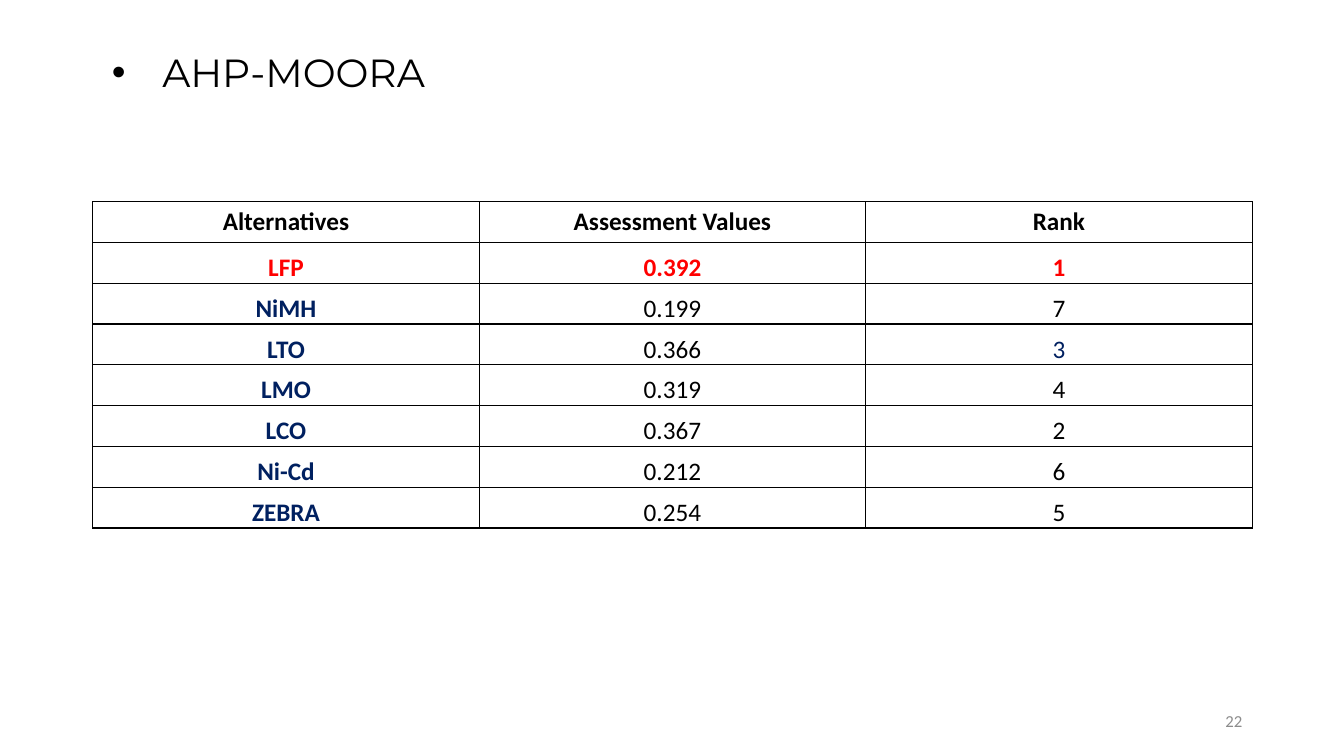
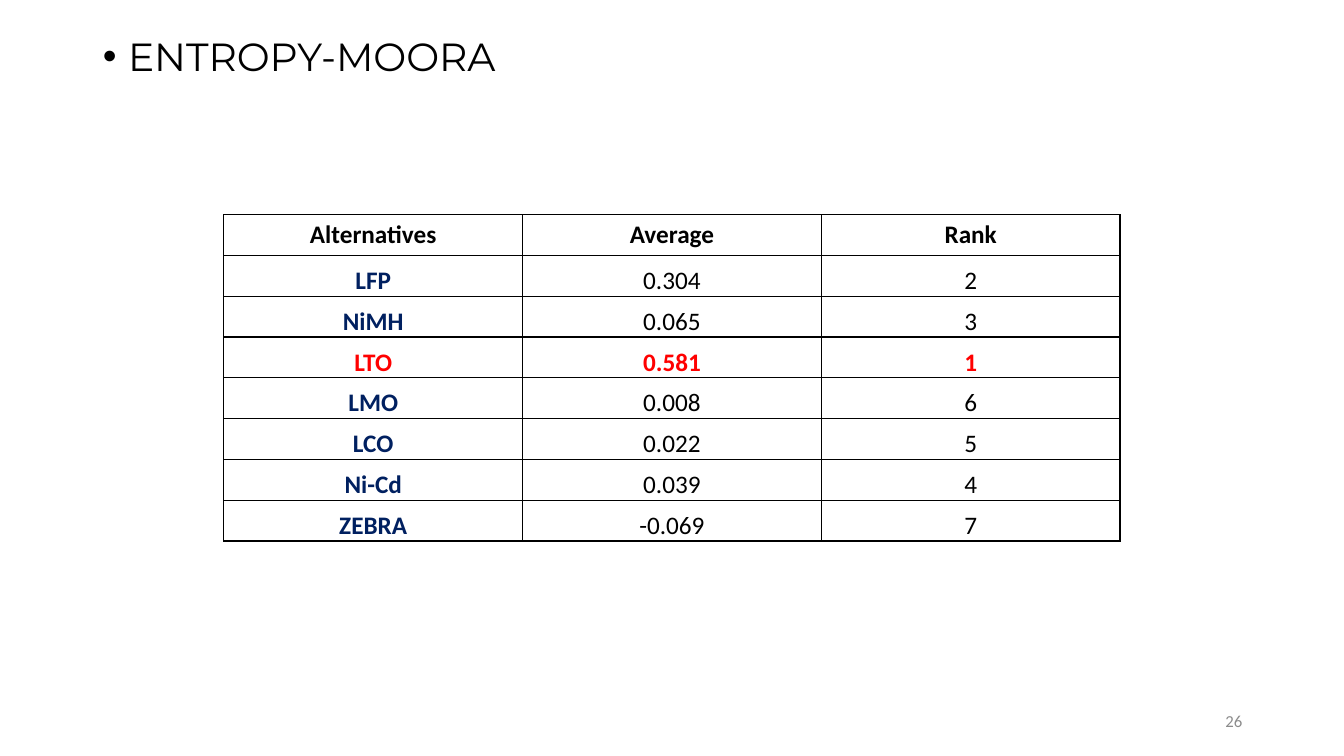
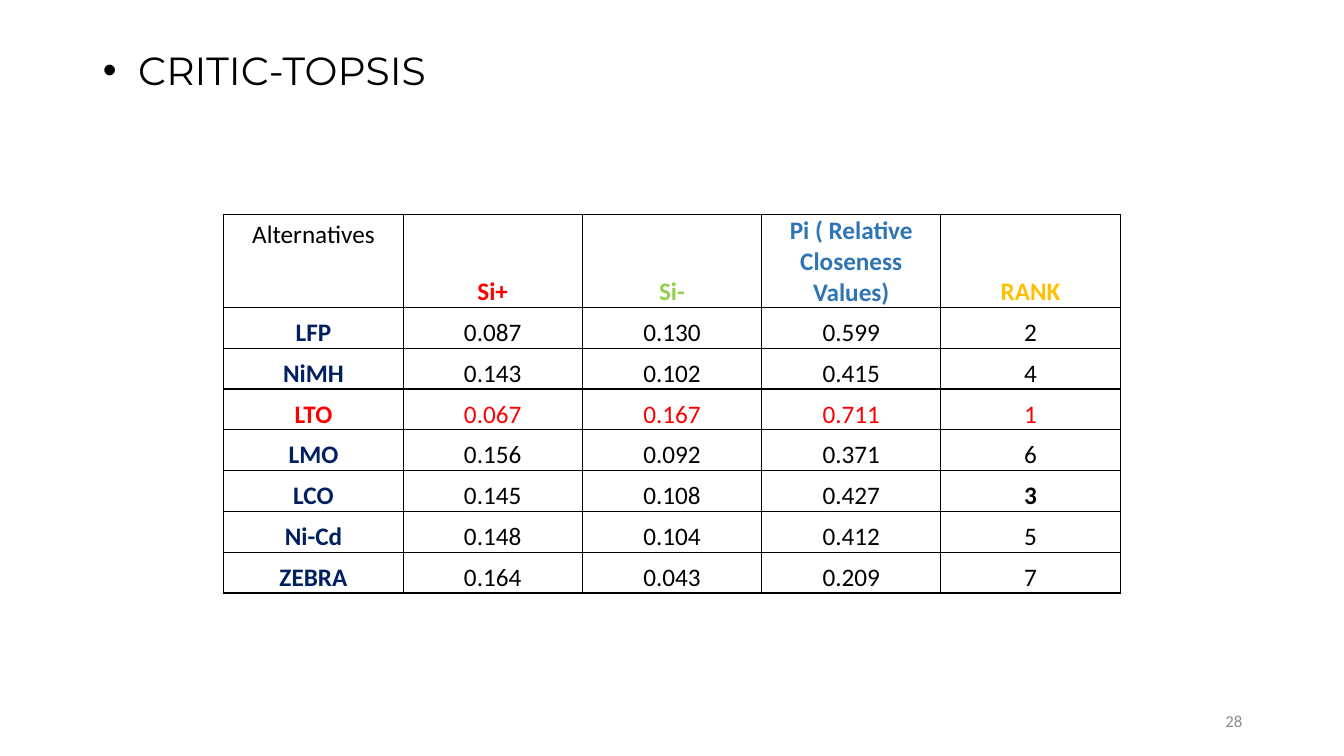
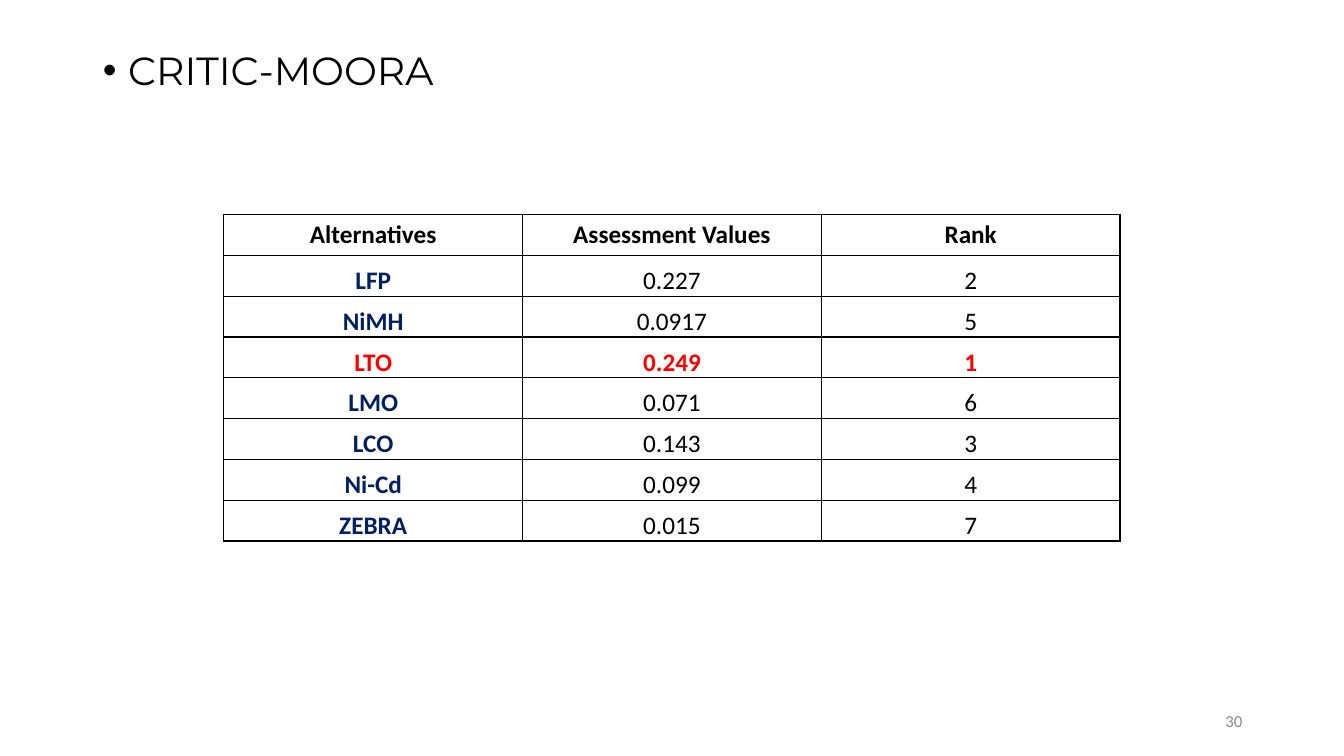
from dataclasses import dataclass, field

from lxml.etree import SubElement
from pptx import Presentation
from pptx.dml.color import RGBColor
from pptx.enum.text import MSO_ANCHOR, MSO_AUTO_SIZE, PP_ALIGN
from pptx.oxml import parse_xml
from pptx.oxml.ns import nsdecls, qn
from pptx.util import Inches, Pt

BLACK, GREY, RED, NAVY = "000000", "8C8C8C", "FF0000", "002060"
GREEN, BLUE, GOLD = "92D050", "2F75B5", "FFC000"

TITLE_FONT = {"name": "Montserrat", "size": Pt(28), "bold": False}
CELL_FONT = {"name": "Calibri", "size": Pt(18), "bold": False}
NUMBER_FONT = {"name": "Calibri", "size": Pt(12)}
TIGHT = {"margin_left": Inches(0.01), "margin_right": Inches(0.01),
         "margin_top": Inches(0.01), "margin_bottom": 0,
         "vertical_anchor": MSO_ANCHOR.BOTTOM}
ROW_HEIGHT = Inches(3.24) // 8
BATTERIES = ["LFP", "NiMH", "LTO", "LMO", "LCO", "Ni-Cd", "ZEBRA"]


@dataclass
class Title:
    text: str
    left: float = 0.92
    top: float = 0.46
    indent: float = 0.25
    line_spacing: float = 0.9


@dataclass
class RankTable:
    header: list[str]
    values: list[str]                      # one string of figures per battery
    left: float = 2.22
    top: float = 2.13
    width: float = 8.89
    header_height: int = ROW_HEIGHT
    winner_bold: bool = True
    header_colors: list[str] = field(default_factory=list)
    # (row, column) -> (colour, bold), for cells outside the usual rule
    special: dict[tuple[int, int], tuple[str, bool]] = field(default_factory=dict)


@dataclass
class RankSlide:
    number: int
    title: Title
    table: RankTable


SLIDES = [
    RankSlide(22, Title("AHP-MOORA", left=1.01, top=0.43, indent=0.5, line_spacing=1.0),
              RankTable(["Alternatives", "Assessment Values", "Rank"],
                        ["0.392 1", "0.199 7", "0.366 3", "0.319 4",
                         "0.367 2", "0.212 6", "0.254 5"],
                        left=0.92, top=2, width=11.5,
                        special={(3, 2): (NAVY, False)})),
    RankSlide(26, Title("ENTROPY-MOORA", top=0.32),
              RankTable(["Alternatives", "Average", "Rank"],
                        ["0.304 2", "0.065 3", "0.581 1", "0.008 6",
                         "0.022 5", "0.039 4", "-0.069 7"])),
    RankSlide(28, Title("CRITIC-TOPSIS", indent=0.35),
              RankTable(["Alternatives", "Si+", "Si-",
                         "Pi ( Relative Closeness Values)", "RANK"],
                        ["0.087 0.130 0.599 2", "0.143 0.102 0.415 4",
                         "0.067 0.167 0.711 1", "0.156 0.092 0.371 6",
                         "0.145 0.108 0.427 3", "0.148 0.104 0.412 5",
                         "0.164 0.043 0.209 7"],
                        header_height=Inches(0.92), winner_bold=False,
                        header_colors=[BLACK, RED, GREEN, BLUE, GOLD],
                        special={(0, 0): (BLACK, False), (5, 4): (BLACK, True)})),
    RankSlide(30, Title("CRITIC-MOORA"),
              RankTable(["Alternatives", "Assessment Values", "Rank"],
                        ["0.227 2", "0.0917 5", "0.249 1", "0.071 6",
                         "0.143 3", "0.099 4", "0.015 7"])),
]


def rgb(color: str) -> RGBColor:
    return RGBColor.from_string(color)


def apply(target, values: dict) -> None:
    for name, value in values.items():
        setattr(target, name, value)


def write(p, text: str, font: dict, color: str, align: PP_ALIGN) -> None:
    p.alignment = align
    r = p.add_run()
    r.text = text
    apply(r.font, font)
    r.font.color.rgb = rgb(color)


def add_title(slide, title: Title) -> None:
    sp = slide.shapes.title
    apply(sp, {"left": Inches(title.left), "top": Inches(title.top),
               "width": Inches(11.5), "height": Inches(0.57)})
    tf = sp.text_frame
    apply(tf, {"vertical_anchor": MSO_ANCHOR.TOP, "word_wrap": True,
               "auto_size": MSO_AUTO_SIZE.NONE})
    p = tf.paragraphs[0]
    write(p, title.text, TITLE_FONT, BLACK, PP_ALIGN.LEFT)
    p.line_spacing = title.line_spacing
    # Hanging bullet
    pPr = p._p.get_or_add_pPr()
    pPr.set("marL", str(Inches(title.indent)))
    pPr.set("indent", str(-Inches(title.indent)))
    SubElement(pPr, qn("a:buFont"), typeface="Arial")
    SubElement(pPr, qn("a:buChar"), char="•")


def add_number(slide, number: int) -> None:
    sp = slide.shapes.add_textbox(Inches(9.42), Inches(6.95), Inches(3), Inches(0.4))
    tf = sp.text_frame
    apply(tf, {"word_wrap": True, "vertical_anchor": MSO_ANCHOR.MIDDLE})
    write(tf.paragraphs[0], str(number), NUMBER_FONT, GREY, PP_ALIGN.RIGHT)


def add_borders(cell) -> None:
    tcPr = cell._tc.get_or_add_tcPr()
    for i, side in enumerate("LRTB"):
        tcPr.insert(i, parse_xml(
            f'<a:ln{side} {nsdecls("a")} w="{Pt(1)}"><a:solidFill>'
            f'<a:srgbClr val="{BLACK}"/></a:solidFill></a:ln{side}>'))


def cell_style(spec: RankTable, row: int, col: int, wins: bool) -> tuple[str, bool]:
    """Colour and weight: header bold, names navy, the best row red."""
    if (row, col) in spec.special:
        return spec.special[row, col]
    if row == 0:
        return (spec.header_colors[col] if spec.header_colors else BLACK), True
    if wins:
        return RED, spec.winner_bold or col == 0
    return (NAVY, True) if col == 0 else (BLACK, False)


def add_rank_table(slide, spec: RankTable) -> None:
    rows = [spec.header] + [[name, *figures.split()]
                            for name, figures in zip(BATTERIES, spec.values)]
    height = spec.header_height + ROW_HEIGHT * len(BATTERIES)
    table = slide.shapes.add_table(len(rows), len(spec.header), Inches(spec.left),
                                   Inches(spec.top), Inches(spec.width), height).table
    apply(table, {"first_row": False, "horz_banding": False})
    for i, texts in enumerate(rows):
        table.rows[i].height = ROW_HEIGHT if i else spec.header_height
        for j, text in enumerate(texts):
            cell = table.cell(i, j)
            cell.fill.background()
            add_borders(cell)
            if i or (spec.header_colors and j):
                apply(cell, TIGHT)
            color, bold = cell_style(spec, i, j, texts[-1] == "1")
            write(cell.text_frame.paragraphs[0], text, CELL_FONT | {"bold": bold},
                  color, PP_ALIGN.CENTER)


def main() -> None:
    prs = Presentation()
    apply(prs, {"slide_width": Inches(13.33), "slide_height": Inches(7.5)})
    for spec in SLIDES:
        slide = prs.slides.add_slide(prs.slide_layouts[5])  # title only
        add_title(slide, spec.title)
        add_number(slide, spec.number)
        add_rank_table(slide, spec.table)
    prs.save("out.pptx")


if __name__ == "__main__":
    main()
